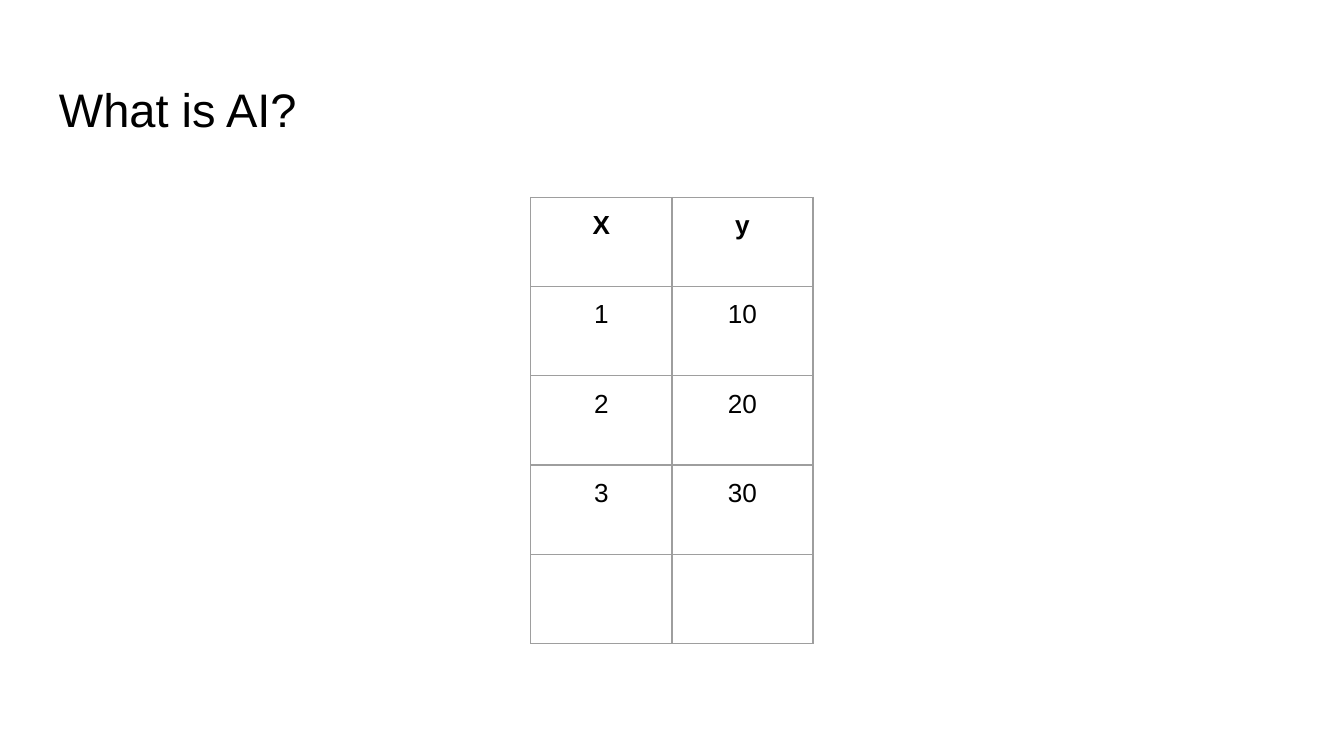
from lxml.etree import SubElement
from pptx import Presentation
from pptx.dml.color import RGBColor
from pptx.enum.text import MSO_ANCHOR as Anchor, PP_ALIGN as Align
from pptx.oxml.ns import qn
from pptx.util import Pt

COLOURS = {"text": "000000", "border": "9E9E9E"}
ROWS = [("X", "y"), ("1", "10"), ("2", "20"), ("3", "30"), ("", "")]


class SlideBuilder:
    font_name = "Arial"
    inset = Pt(7.2)
    border_width = Pt(0.75)

    def __init__(self, slide):
        self.slide = slide

    def style(self, paragraph, size, bold=False):
        font = paragraph.font
        font.name, font.size, font.bold = self.font_name, Pt(size), bold
        font.color.rgb = RGBColor.from_string(COLOURS["text"])

    def set_insets(self, holder):
        """Give a text frame or a table cell the same inset on every side."""
        holder.margin_left = holder.margin_right = self.inset
        holder.margin_top = holder.margin_bottom = self.inset

    def title(self, text, left, top, width, height):
        box = self.slide.shapes.add_textbox(Pt(left), Pt(top), Pt(width), Pt(height))
        frame = box.text_frame
        frame.word_wrap = True
        frame.vertical_anchor = Anchor.BOTTOM
        self.set_insets(frame)
        frame.text = text
        self.style(frame.paragraphs[0], 25.2)

    def border(self, cell):
        properties = cell._tc.get_or_add_tcPr()
        for position, side in enumerate(("lnL", "lnR", "lnT", "lnB")):
            line = properties.makeelement(qn(f"a:{side}"), {"w": str(self.border_width)})
            fill = SubElement(line, qn("a:solidFill"))
            SubElement(fill, qn("a:srgbClr"), val=COLOURS["border"])
            properties.insert(position, line)

    def table(self, rows, left, top, column_width, row_height):
        column_count = len(rows[0])
        table = self.slide.shapes.add_table(
            len(rows), column_count, Pt(left), Pt(top),
            Pt(column_width * column_count), Pt(row_height * len(rows))).table
        table.horz_banding = False
        table.first_row = False
        for row_index, values in enumerate(rows):
            for column_index, value in enumerate(values):
                cell = table.cell(row_index, column_index)
                cell.fill.background()
                self.set_insets(cell)
                self.border(cell)
                cell.text = value
                para = cell.text_frame.paragraphs[0]
                para.alignment = Align.CENTER
                self.style(para, 14, bold=row_index == 0)


def main():
    deck = Presentation()
    deck.slide_width, deck.slide_height = Pt(720), Pt(405)
    builder = SlideBuilder(deck.slides.add_slide(deck.slide_layouts[6]))
    builder.title("What is AI?", 24.5, 35.3, 671, 45.4)
    builder.table(ROWS, 284.4, 105.8, 75.6, 47.8)
    deck.save("out.pptx")


if __name__ == "__main__":
    main()
